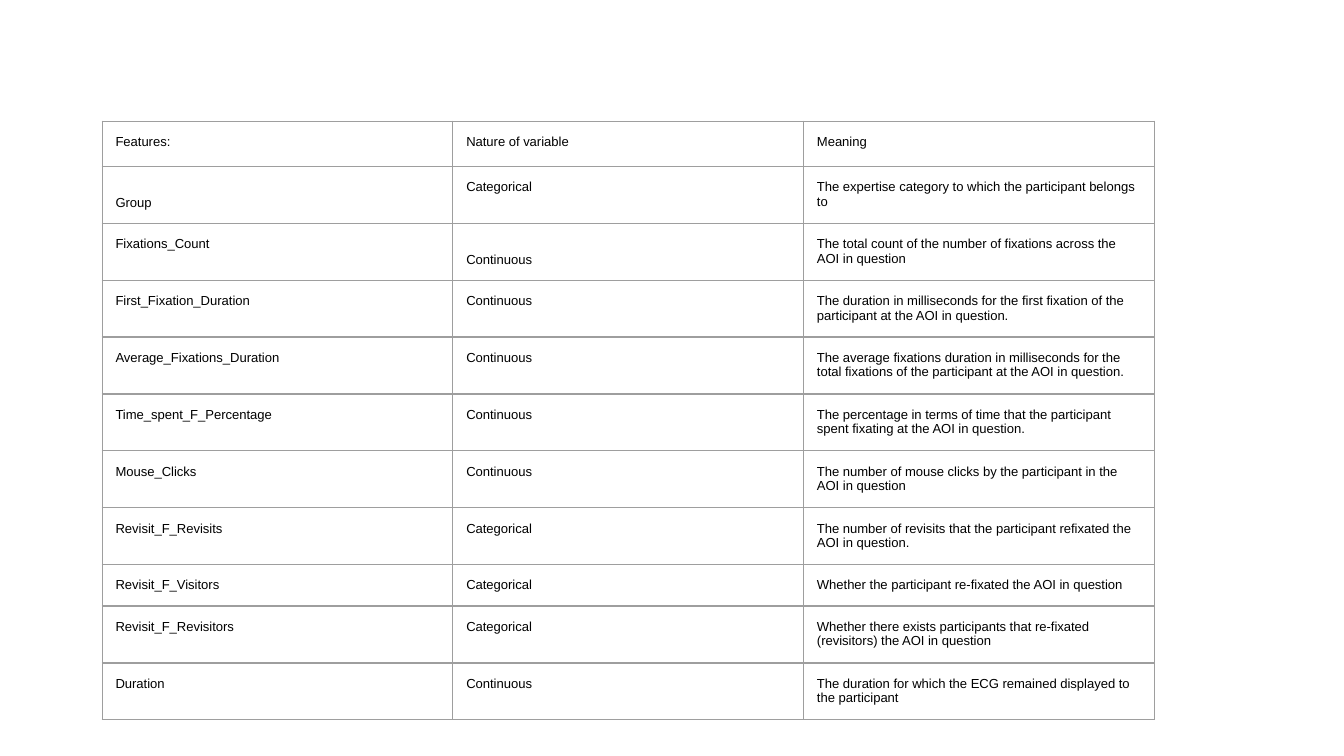
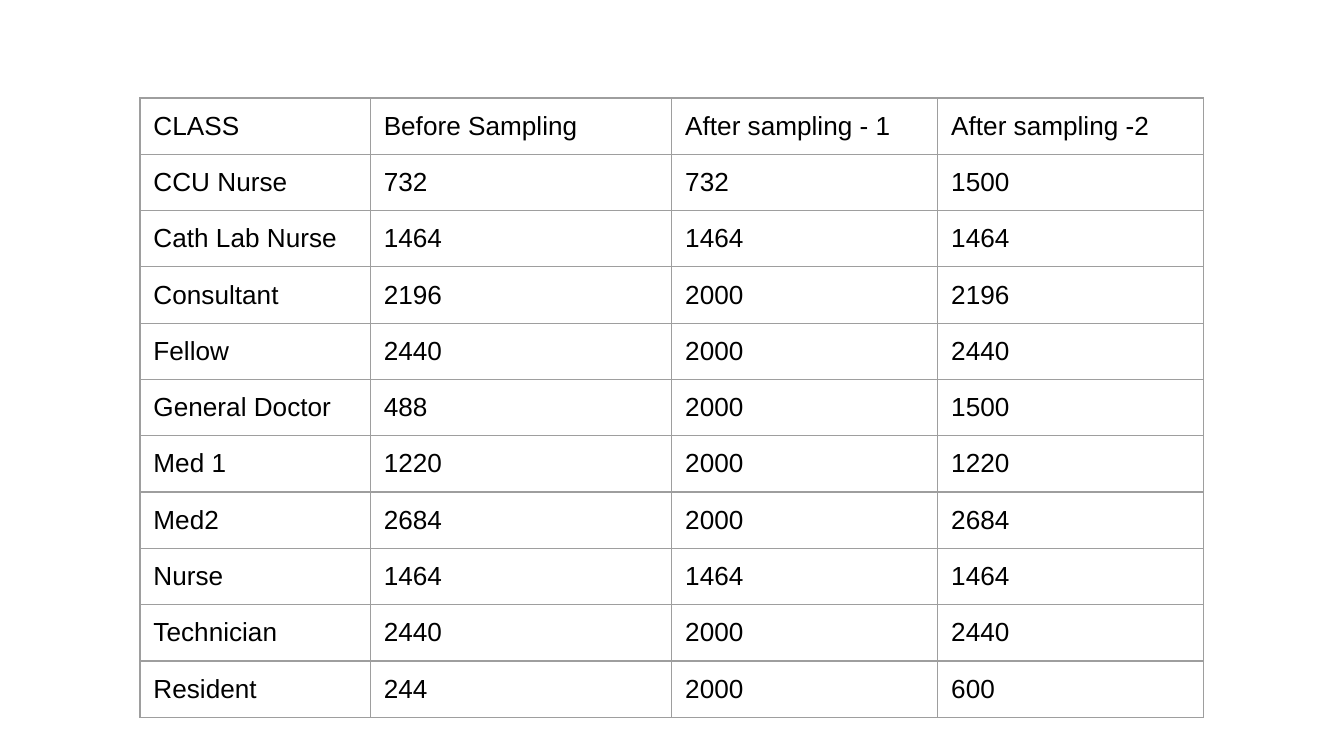
"""Build two slides of tables: the model features and the class sampling counts."""
import lxml.etree
import pptx
import pptx.dml.color
import pptx.enum.text
import pptx.oxml.ns
import pptx.util

Pt = pptx.util.Pt
FONT = "Arial"
TEXT_COLOUR = "000000"
BORDER_COLOUR = "9E9E9E"
BORDER_WIDTH = 0.75
CELL_MARGIN = 7.2
BLANK_LAYOUT = 6

FEATURES = [
    ("Features:", "Nature of variable", "Meaning"),
    ("Group", "Categorical", "The expertise category to which the participant belongs to"),
    ("Fixations_Count", "Continuous",
     "The total count of the number of fixations across the AOI in question"),
    ("First_Fixation_Duration", "Continuous",
     "The duration in milliseconds for the first fixation of the participant at the AOI in question."),
    ("Average_Fixations_Duration", "Continuous",
     "The average fixations duration in milliseconds for the total fixations of the participant "
     "at the AOI in question."),
    ("Time_spent_F_Percentage", "Continuous",
     "The percentage in terms of time that the participant spent fixating at the AOI in question."),
    ("Mouse_Clicks", "Continuous",
     "The number of mouse clicks by the participant in the AOI in question"),
    ("Revisit_F_Revisits", "Categorical",
     "The number of revisits that the participant refixated the AOI in question."),
    ("Revisit_F_Visitors", "Categorical",
     "Whether the participant re-fixated the AOI in question"),
    ("Revisit_F_Revisitors", "Categorical",
     "Whether there exists participants that re-fixated (revisitors) the AOI in question"),
    ("Duration", "Continuous",
     "The duration for which the ECG remained displayed to the participant"),
]
FEATURE_HEIGHTS = [24.2] + [30.5] * 7 + [22.2] + [30.5] * 2
LOWERED_CELLS = [(1, 0), (2, 1)]

SAMPLING = [
    ("CLASS", "Before Sampling", "After sampling - 1", "After sampling -2"),
    ("CCU Nurse", 732, 732, 1500),
    ("Cath Lab Nurse", 1464, 1464, 1464),
    ("Consultant", 2196, 2000, 2196),
    ("Fellow", 2440, 2000, 2440),
    ("General Doctor", 488, 2000, 1500),
    ("Med 1", 1220, 2000, 1220),
    ("Med2", 2684, 2000, 2684),
    ("Nurse", 1464, 1464, 1464),
    ("Technician", 2440, 2000, 2440),
    ("Resident", 244, 2000, 600),
]


def colour(code):
    """Turn a hex string into a colour."""
    return pptx.dml.color.RGBColor.from_string(code)


def draw_borders(cell):
    """Draw the same thin line on all four sides of a cell."""
    properties = cell._tc.get_or_add_tcPr()
    qualify = pptx.oxml.ns.qn
    for position, side in enumerate(("a:lnL", "a:lnR", "a:lnT", "a:lnB")):
        line = lxml.etree.Element(qualify(side), w=str(Pt(BORDER_WIDTH)))
        fill = lxml.etree.SubElement(line, qualify("a:solidFill"))
        lxml.etree.SubElement(fill, qualify("a:srgbClr"), val=BORDER_COLOUR)
        properties.insert(position, line)


def fill_cell(cell, text, size):
    """Write and format one cell."""
    cell.margin_left = cell.margin_right = Pt(CELL_MARGIN)
    cell.margin_top = cell.margin_bottom = Pt(CELL_MARGIN)
    cell.fill.background()
    draw_borders(cell)
    cell.text_frame.text = str(text)
    for span in cell.text_frame.paragraphs[0].runs:
        span.font.name = FONT
        span.font.size = Pt(size)
        span.font.color.rgb = colour(TEXT_COLOUR)


def add_grid(page, rows, left, top, widths, heights, size):
    """Add a plain bordered table and return it."""
    frame = page.shapes.add_table(len(rows), len(widths), Pt(left), Pt(top),
                                  Pt(sum(widths)), Pt(sum(heights)))
    table = frame.table
    table.first_row = table.horz_banding = False
    for column, width in zip(table.columns, widths):
        column.width = Pt(width)
    for row, height, values in zip(table.rows, heights, rows):
        row.height = Pt(height)
        for cell, value in zip(row.cells, values):
            fill_cell(cell, value, size)
    return table


def main():
    """Build and save the deck."""
    deck = pptx.Presentation()
    deck.slide_width, deck.slide_height = Pt(720), Pt(405)
    layout = deck.slide_layouts[BLANK_LAYOUT]

    features = add_grid(deck.slides.add_slide(layout), FEATURES, 54.7, 65,
                        [187.9] * 3, FEATURE_HEIGHTS, 7)
    for row, column in LOWERED_CELLS:
        features.cell(row, column).vertical_anchor = pptx.enum.text.MSO_ANCHOR.BOTTOM

    add_grid(deck.slides.add_slide(layout), SAMPLING, 75, 52.5,
             [123.4, 161.5, 142.5, 142.5], [30.1] * len(SAMPLING), 14)
    deck.save("out.pptx")


if __name__ == "__main__":
    main()
